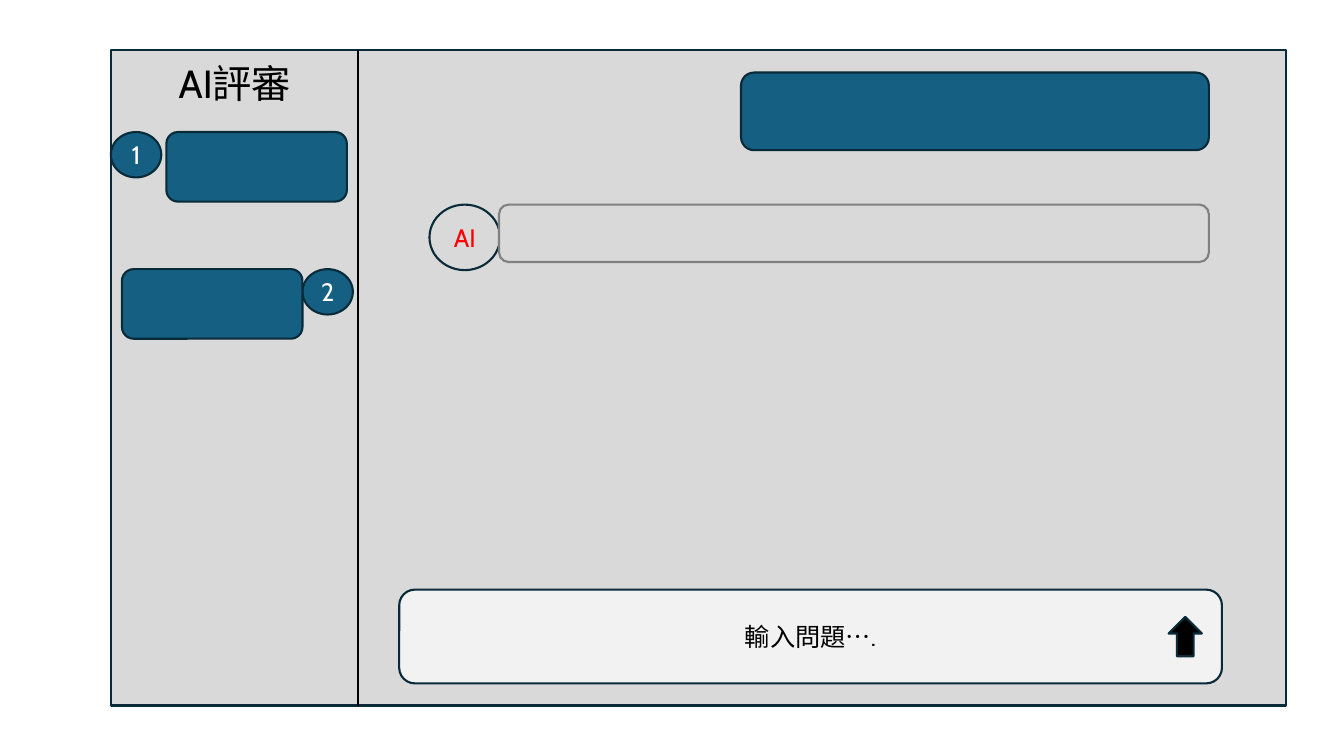
from lxml import etree
from pptx import Presentation
from pptx.dml.color import RGBColor
from pptx.enum.shapes import MSO_CONNECTOR, MSO_SHAPE
from pptx.enum.text import MSO_ANCHOR, MSO_AUTO_SIZE, PP_ALIGN
from pptx.oxml.ns import qn
from pptx.util import Inches, Pt

COLORS = {
    "panel": "D9D9D9",
    "input": "F2F2F2",
    "bubble": "156082",
    "outline": "092A39",
    "reply": "808080",
    "black": "000000",
    "white": "FFFFFF",
    "red": "FF0000",
}


class ChatSlide:
    font = "Cabin"

    def __init__(self, prs):
        self.s = prs.slides.add_slide(prs.slide_layouts[6])

    def color(self, name):
        return RGBColor.from_string(COLORS[name])

    def set_text(self, tf, text, color, size=18):
        tf.word_wrap = True
        tf.text = text
        p = tf.paragraphs[0]
        p.alignment = PP_ALIGN.CENTER
        r = p.runs[0]
        r.font.name = self.font
        r.font.size = Pt(size)
        r.font.color.rgb = self.color(color)

    def shape(self, kind, x, y, w, h, fill, line="outline", text=None, color="white"):
        sp = self.s.shapes.add_shape(kind, Inches(x), Inches(y), Inches(w), Inches(h))
        sp.shadow.inherit = False
        sp.fill.solid()
        sp.fill.fore_color.rgb = self.color(fill)
        sp.line.color.rgb = self.color(line)
        sp.line.width = Pt(1.5)
        if text:
            sp.text_frame.vertical_anchor = MSO_ANCHOR.MIDDLE
            self.set_text(sp.text_frame, text, color)
        return sp

    def bubble(self, x, y, w, h, fill="bubble", line="outline"):
        return self.shape(MSO_SHAPE.FLOWCHART_ALTERNATE_PROCESS, x, y, w, h, fill, line)

    def badge(self, x, y, w, h, text, fill="bubble", color="white"):
        return self.shape(MSO_SHAPE.FLOWCHART_CONNECTOR, x, y, w, h, fill,
                          text=text, color=color)

    def line(self, x1, y1, x2, y2):
        c = self.s.shapes.add_connector(MSO_CONNECTOR.STRAIGHT, Inches(x1), Inches(y1),
                                        Inches(x2), Inches(y2))
        c.line.color.rgb = self.color("black")
        c.line.width = Pt(2)
        etree.SubElement(c._element.spPr, qn("a:effectLst"))

    def title(self, x, y, w, h, text):
        tb = self.s.shapes.add_textbox(Inches(x), Inches(y), Inches(w), Inches(h))
        self.set_text(tb.text_frame, text, "black", 28)
        tb.text_frame.auto_size = MSO_AUTO_SIZE.SHAPE_TO_FIT_TEXT


def main():
    prs = Presentation()
    prs.slide_width, prs.slide_height = Inches(13.33), Inches(7.5)
    chat = ChatSlide(prs)

    # Window and sidebar divider
    chat.shape(MSO_SHAPE.RECTANGLE, 1.1, 0.5, 11.66, 6.5, "panel")
    chat.line(3.55, 0.5, 3.55, 7)

    # Question input with send arrow
    chat.shape(MSO_SHAPE.ROUNDED_RECTANGLE, 3.96, 5.85, 8.16, 0.93, "input",
               text="輸入問題….", color="black")
    send = chat.shape(MSO_SHAPE.LEFT_ARROW, 11.56, 6.15, 0.39, 0.33, "black")
    send.rotation = 90

    # Sidebar: numbered messages
    for number, badge_x, bubble_x, y in (("1", 1.1, 1.65, 1.31), ("2", 3, 1.21, 2.67)):
        chat.badge(badge_x, y, 0.5, 0.45, number)
        chat.bubble(bubble_x, y, 1.79, 0.69)

    # Conversation: user question and AI reply
    chat.badge(4.26, 2.03, 0.7, 0.65, "AI", "panel", "red")
    chat.bubble(7.35, 0.72, 4.64, 0.77)
    chat.bubble(4.95, 2.03, 7.04, 0.57, "panel", "reply")

    # Sidebar title
    chat.title(1.1, 0.54, 2.46, 0.57, "AI評審")

    prs.save("out.pptx")


if __name__ == "__main__":
    main()
